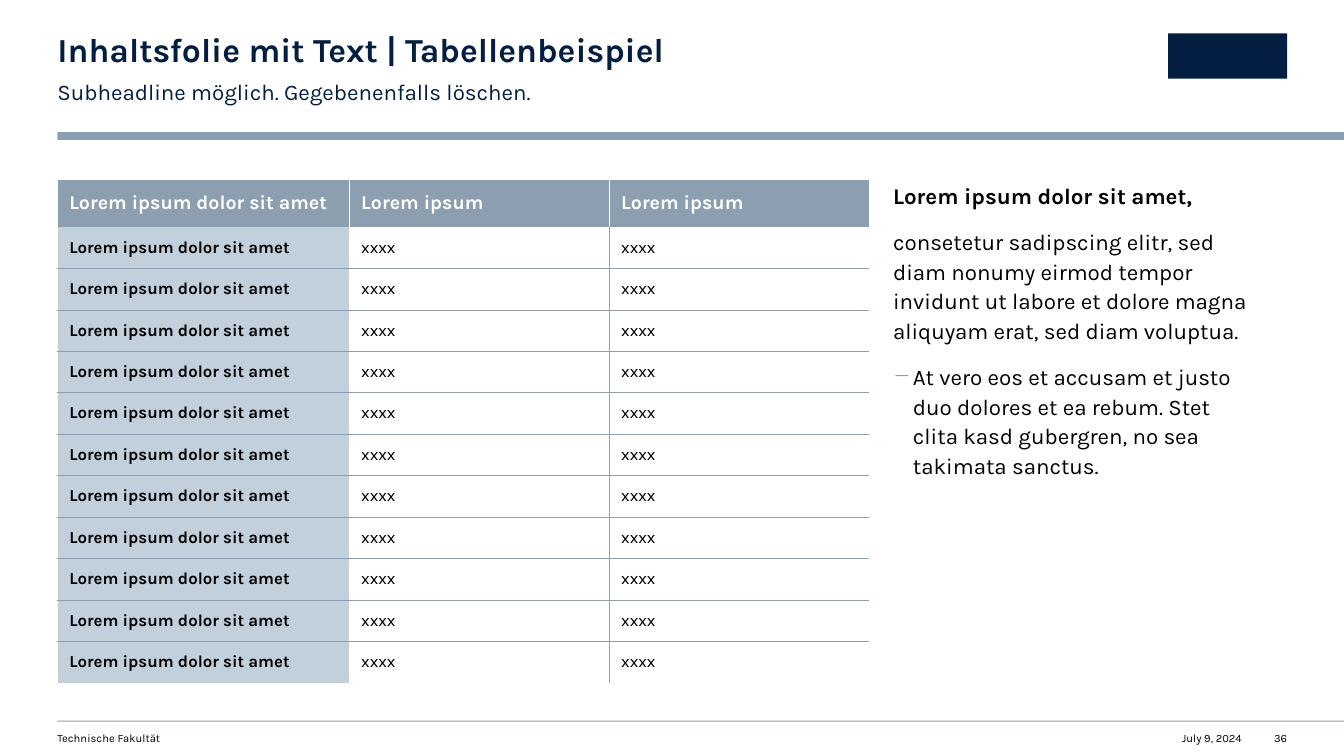
from dataclasses import dataclass
from typing import Any

from lxml.etree import SubElement
from pptx import Presentation
from pptx.dml.color import RGBColor
from pptx.enum.shapes import MSO_SHAPE as Preset
from pptx.enum.text import MSO_ANCHOR as Anchor, PP_ALIGN as Align
from pptx.oxml.ns import qn
from pptx.util import Pt

NAVY = RGBColor(0x04, 0x1E, 0x42)
STEEL = RGBColor(0x8C, 0x9F, 0xB1)
MIST = RGBColor(0xC2, 0xD0, 0xDC)
BLACK = RGBColor(0, 0, 0)
WHITE = RGBColor(255, 255, 255)

FONT = "Karla"
SLIDE_WIDTH, SLIDE_HEIGHT = 960, 540
MARGIN = 41
RIGHT_EDGE = 919.4
CONTENT_TOP = 128.2
FOOTER_TOP = 522.7
HEADER_HEIGHT, ROW_HEIGHT = 33.8, 29.6
COLUMN_WIDTHS = (208.6, 185.7, 185.7)
TABLE_ROWS = [("Lorem ipsum dolor sit amet", "Lorem ipsum", "Lorem ipsum")]
TABLE_ROWS += [("Lorem ipsum dolor sit amet", "xxxx", "xxxx")] * 11
CELL_FORMAT = {
    "margin_left": Pt(8.5),
    "margin_right": Pt(8.5),
    "margin_top": Pt(2.9),
    "margin_bottom": Pt(2.9),
    "vertical_anchor": Anchor.MIDDLE,
}
BODY_SPACING = {"line_spacing": 1.1, "space_after": Pt(12)}


@dataclass(frozen=True)
class Box:
    left: float
    top: float
    width: float
    height: float

    def lengths(self) -> tuple:
        return Pt(self.left), Pt(self.top), Pt(self.width), Pt(self.height)


@dataclass(frozen=True)
class Block:
    box: Box
    color: RGBColor


@dataclass(frozen=True)
class Line:
    text: str
    size: float
    color: RGBColor = BLACK
    bold: bool = False
    bullet: str = ""


@dataclass(frozen=True)
class Passage:
    box: Box
    lines: tuple
    spacing: dict
    align: Any = Align.LEFT
    right_inset: float = 0
    wrap: bool = True


@dataclass(frozen=True)
class Border:
    color: RGBColor
    width: float


HAIRLINE = Border(STEEL, 0.25)
WHITE_LINE = Border(WHITE, 1)
WHITE_THIN = Border(WHITE, 0.5)

BLOCKS = (
    Block(Box(MARGIN, 94.3, SLIDE_WIDTH - MARGIN, 5.7), STEEL),
    Block(Box(MARGIN, 514.8, SLIDE_WIDTH - MARGIN, 0.7), STEEL),
    Block(Box(834.4, 23.8, 85, 32.4), NAVY),
)

PASSAGES = (
    Passage(Box(MARGIN, 23.8, 539.3, 25.9),
            (Line("Inhaltsfolie mit Text | Tabellenbeispiel", 24, NAVY, True),),
            {"line_spacing": 0.9}),
    Passage(Box(MARGIN, 54, 539.3, 19.4),
            (Line("Subheadline möglich. Gegebenenfalls löschen.", 16, NAVY),),
            BODY_SPACING, right_inset=28.3),
    Passage(Box(637.9, CONTENT_TOP, 281.5, 360), (
        Line("Lorem ipsum dolor sit amet,", 16, bold=True),
        Line("consetetur sadipscing elitr, sed diam nonumy eirmod tempor "
             "invidunt ut labore et dolore magna aliquyam erat, sed diam voluptua.", 16),
        Line("At vero eos et accusam et justo duo dolores et ea rebum. "
             "Stet clita kasd gubergren, no sea takimata sanctus.", 16, bullet="−"),
    ), BODY_SPACING, right_inset=28.3),
    Passage(Box(MARGIN, FOOTER_TOP, 430.6, 9.4), (Line("Technische Fakultät", 8),), {}),
    Passage(Box(833.8, FOOTER_TOP, 53.3, 9.4), (Line("July 9, 2024", 8),), {},
            Align.RIGHT, wrap=False),
    Passage(Box(RIGHT_EDGE - 10, FOOTER_TOP, 10, 9.4), (Line("36", 8),), {},
            Align.RIGHT, wrap=False),
)


def apply(target: Any, values: dict) -> None:
    for name, value in values.items():
        setattr(target, name, value)


def write_line(paragraph: Any, line: Line) -> None:
    run = paragraph.add_run()
    run.text = line.text
    apply(run.font, {"name": FONT, "size": Pt(line.size), "bold": line.bold})
    run.font.color.rgb = line.color


def add_bullet(paragraph: Any, character: str) -> None:
    properties = paragraph._p.get_or_add_pPr()
    properties.set("marL", str(Pt(14.2)))
    properties.set("indent", str(-Pt(14.2)))
    bullet_color = SubElement(properties, qn("a:buClr"))
    SubElement(bullet_color, qn("a:srgbClr"), val=str(STEEL))
    SubElement(properties, qn("a:buChar"), char=character)


def draw_block(slide: Any, block: Block) -> None:
    bar = slide.shapes.add_shape(Preset.RECTANGLE, *block.box.lengths())
    bar.shadow.inherit = False
    bar.fill.solid()
    bar.fill.fore_color.rgb = block.color
    bar.line.fill.background()


def draw_passage(slide: Any, passage: Passage) -> None:
    frame = slide.shapes.add_textbox(*passage.box.lengths()).text_frame
    apply(frame, {
        "word_wrap": passage.wrap,
        "margin_left": 0,
        "margin_top": 0,
        "margin_right": Pt(passage.right_inset),
        "margin_bottom": 0,
    })
    for index, line in enumerate(passage.lines):
        paragraph = frame.add_paragraph() if index else frame.paragraphs[0]
        apply(paragraph, {"alignment": passage.align, **passage.spacing})
        write_line(paragraph, line)
        if line.bullet:
            add_bullet(paragraph, line.bullet)


def cell_borders(row: int, column: int) -> dict:
    last_row, last_column = len(TABLE_ROWS) - 1, len(COLUMN_WIDTHS) - 1
    if row == 0:
        left = WHITE_THIN if column else WHITE_LINE
        right = WHITE_THIN if column < last_column else None
        return {"a:lnL": left, "a:lnR": right, "a:lnT": WHITE_LINE, "a:lnB": None}
    return {
        "a:lnL": HAIRLINE if column == last_column else WHITE_LINE,
        "a:lnR": (WHITE_LINE, HAIRLINE, None)[column],
        "a:lnT": HAIRLINE if row > 1 else None,
        "a:lnB": HAIRLINE if row < last_row else None,
    }


def draw_border(cell: Any, side: str, border: Border | None) -> None:
    edge = SubElement(cell._tc.get_or_add_tcPr(), qn(side))
    if border is None:
        SubElement(edge, qn("a:noFill"))
        return
    edge.set("w", str(Pt(border.width)))
    fill = SubElement(edge, qn("a:solidFill"))
    SubElement(fill, qn("a:srgbClr"), val=str(border.color))


def draw_cell(cell: Any, row: int, column: int, text: str) -> None:
    apply(cell, CELL_FORMAT)
    for side, border in cell_borders(row, column).items():
        draw_border(cell, side, border)
    header = row == 0
    if header or column == 0:
        cell.fill.solid()
        cell.fill.fore_color.rgb = STEEL if header else MIST
    else:
        cell.fill.background()
    line = Line(text, 14, WHITE, True) if header else Line(text, 12, bold=column == 0)
    write_line(cell.text_frame.paragraphs[0], line)


def draw_table(slide: Any) -> None:
    height = HEADER_HEIGHT + ROW_HEIGHT * (len(TABLE_ROWS) - 1)
    box = Box(MARGIN, CONTENT_TOP, sum(COLUMN_WIDTHS), height)
    table = slide.shapes.add_table(len(TABLE_ROWS), len(COLUMN_WIDTHS), *box.lengths()).table
    apply(table, {"first_row": False, "horz_banding": False})
    for column, width in zip(table.columns, COLUMN_WIDTHS):
        column.width = Pt(width)
    for row, texts in enumerate(TABLE_ROWS):
        table.rows[row].height = Pt(ROW_HEIGHT if row else HEADER_HEIGHT)
        for column, text in enumerate(texts):
            draw_cell(table.cell(row, column), row, column, text)


def main() -> None:
    deck = Presentation()
    apply(deck, {"slide_width": Pt(SLIDE_WIDTH), "slide_height": Pt(SLIDE_HEIGHT)})
    slide = deck.slides.add_slide(deck.slide_layouts[6])
    for block in BLOCKS:
        draw_block(slide, block)
    for passage in PASSAGES:
        draw_passage(slide, passage)
    draw_table(slide)
    deck.save("out.pptx")


if __name__ == "__main__":
    main()
